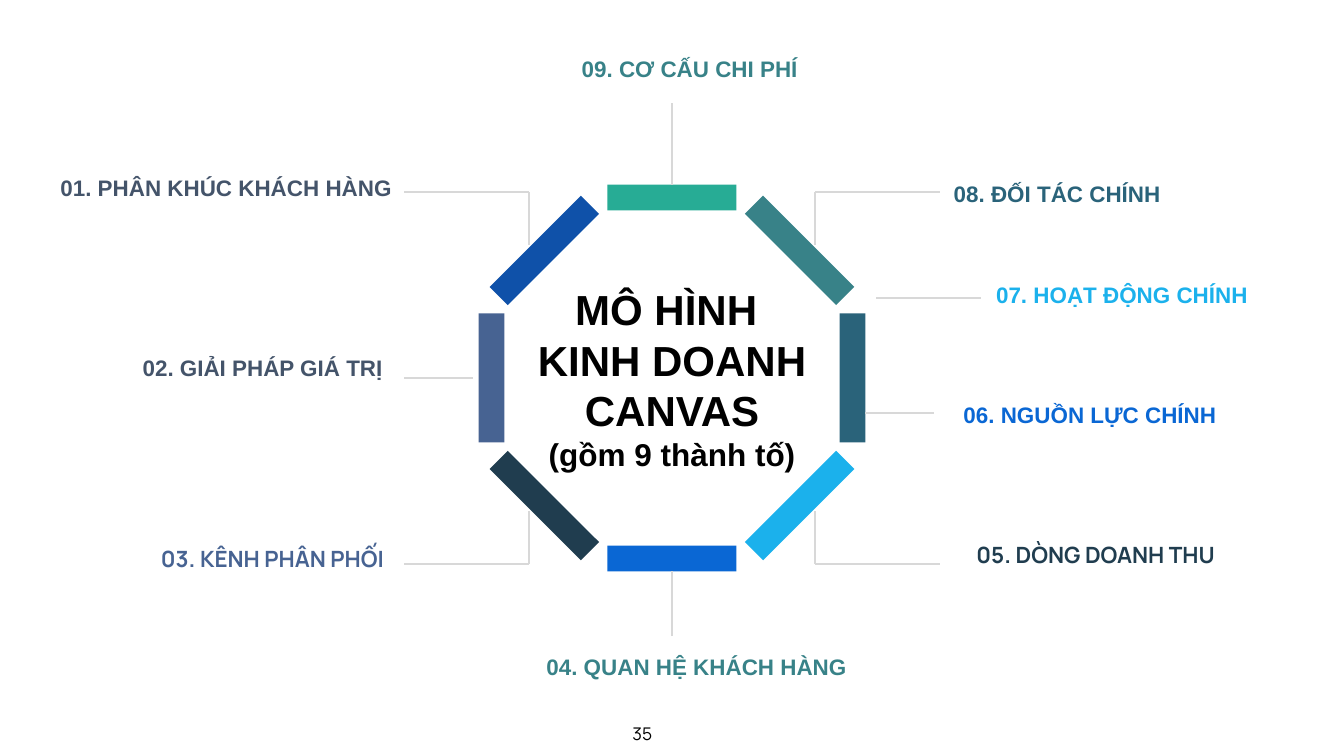
from itertools import product
from math import cos, radians, sin

from lxml.etree import SubElement
from pptx import Presentation
from pptx.dml.color import RGBColor
from pptx.enum.shapes import MSO_CONNECTOR, MSO_SHAPE
from pptx.enum.text import MSO_ANCHOR, MSO_AUTO_SIZE, PP_ALIGN
from pptx.oxml.ns import qn
from pptx.util import Inches, Pt

W, H = 26.66, 15
CX, CY = W / 2, H / 2
RADIUS, BAR_LENGTH, BAR_WIDTH = 3.58, 2.56, 0.51
LABEL_HEIGHT = 0.64

COLORS = {
    "green": "27AC95", "teal": "388288", "petrol": "2A637A", "sky": "1BB1EC",
    "blue": "0A67D4", "navy": "203D4F", "slate": "476392", "royal": "0F51A9",
    "gray": "44546A", "line": "D8D8D8", "black": "000000",
}

RING = ["green", "teal", "petrol", "sky", "blue", "navy", "slate", "royal"]

LABELS = [
    ("01. PHÂN KHÚC KHÁCH HÀNG", 1.1, 3.4, 6.93, "gray", "Arial", "left"),
    ("02. GIẢI PHÁP GIÁ TRỊ", 2.73, 6.98, 5.11, "gray", "Arial", "left"),
    ("03. KÊNH PHÂN PHỐI", 2.64, 10.76, 5.08, "slate", "Manrope", "right"),
    ("04. QUAN HỆ KHÁCH HÀNG", 10.74, 12.9, 6.26, "teal", "Arial", "left"),
    ("05. DÒNG DOANH THU", 19.04, 10.69, 5.16, "navy", "Manrope", "right"),
    ("06. NGUỒN LỰC CHÍNH", 18.65, 7.91, 5.94, "blue", "Arial", "center"),
    ("07. HOẠT ĐỘNG CHÍNH", 19.66, 5.52, 5.61, "sky", "Arial", "left"),
    ("08. ĐỐI TÁC CHÍNH", 18.82, 3.53, 5.61, "petrol", "Arial", "left"),
    ("09. CƠ CẤU CHI PHÍ", 11.44, 1.05, 5.56, "teal", "Arial", "left"),
]

TITLE = [[("MÔ HÌNH ", 60)], [("KINH DOANH CANVAS", 60), ("(gồm 9 thành tố)", 45)]]

SPOKES = [
    (CX, 3.67, CX, 2.05),
    (CX, 12.62, CX, 11.33),
    (8.02, CY, 9.39, CY),
    (17.16, 8.19, 18.53, 8.19),
    (19.45, 5.92, 17.37, 5.92),
]
ELBOW_OUTER, ELBOW_INNER, ELBOW_RISE, ELBOW_END = 5.31, 2.83, 3.69, 2.64

ALIGN = {"left": PP_ALIGN.LEFT, "center": PP_ALIGN.CENTER, "right": PP_ALIGN.RIGHT}

prs = Presentation()
prs.slide_width, prs.slide_height = Inches(W), Inches(H)
s = prs.slides.add_slide(prs.slide_layouts[6])


def rgb(name):
    return RGBColor.from_string(COLORS[name])


def add_text(text, x, y, w, h, size=32, color="black", font="Arial", bold=True,
             align="left", anchor=MSO_ANCHOR.TOP):
    paragraphs = [[(text, size)]] if isinstance(text, str) else text
    tf = s.shapes.add_textbox(Inches(x), Inches(y), Inches(w), Inches(h)).text_frame
    tf.word_wrap = True
    tf.auto_size = MSO_AUTO_SIZE.SHAPE_TO_FIT_TEXT
    tf.vertical_anchor = anchor
    for i, lines in enumerate(paragraphs):
        p = tf.add_paragraph() if i else tf.paragraphs[0]
        p.alignment = ALIGN[align]
        for j, (line, points) in enumerate(lines):
            if j:
                p.add_line_break()
            r = p.add_run()
            r.text = line
            r.font.size, r.font.bold, r.font.name = Pt(points), bold, font
            r.font.color.rgb = rgb(color)


def add_line(x1, y1, x2, y2):
    sp = s.shapes.add_connector(MSO_CONNECTOR.STRAIGHT, *map(Inches, (x1, y1, x2, y2)))
    sp.line.color.rgb = rgb("line")
    sp.line.width = Pt(3)
    SubElement(sp._element.spPr, qn("a:effectLst"))


def add_bar(index, color):
    angle = radians(45 * index)
    x, y = CX + RADIUS * sin(angle), CY - RADIUS * cos(angle)
    if index % 2:
        corners = []
        for a, b in ((-1, -1), (1, -1), (1, 1), (-1, 1)):
            dx, dy = a * BAR_LENGTH / 2, b * BAR_WIDTH / 2
            corners.append((Inches(x + dx * cos(angle) - dy * sin(angle)),
                            Inches(y + dx * sin(angle) + dy * cos(angle))))
        builder = s.shapes.build_freeform(*corners[0])
        builder.add_line_segments(corners[1:], close=True)
        sp = builder.convert_to_shape()
    else:
        w, h = (BAR_WIDTH, BAR_LENGTH) if index % 4 else (BAR_LENGTH, BAR_WIDTH)
        sp = s.shapes.add_shape(MSO_SHAPE.RECTANGLE, Inches(x - w / 2),
                                Inches(y - h / 2), Inches(w), Inches(h))
    sp.shadow.inherit = False
    sp.fill.solid()
    sp.fill.fore_color.rgb = rgb(color)
    sp.line.fill.background()


for index, color in enumerate(RING):
    add_bar(index, color)

for spoke in SPOKES:
    add_line(*spoke)

for sx, sy in product((-1, 1), repeat=2):
    outer, inner = CX + sx * ELBOW_OUTER, CX + sx * ELBOW_INNER
    level = CY + sy * ELBOW_RISE
    add_line(outer, level, inner, level)
    add_line(inner, level, inner, CY + sy * ELBOW_END)

for text, x, y, w, color, font, align in LABELS:
    add_text(text, x, y, w, LABEL_HEIGHT, color=color, font=font, align=align)

add_text(TITLE, 10.24, 5.56, 6.18, 3.89, align="center", anchor=MSO_ANCHOR.MIDDLE)
add_text("35", 11.95, 14.29, 1.58, 0.52, size=25, font="Manrope", bold=False, align="center")

prs.save("out.pptx")
